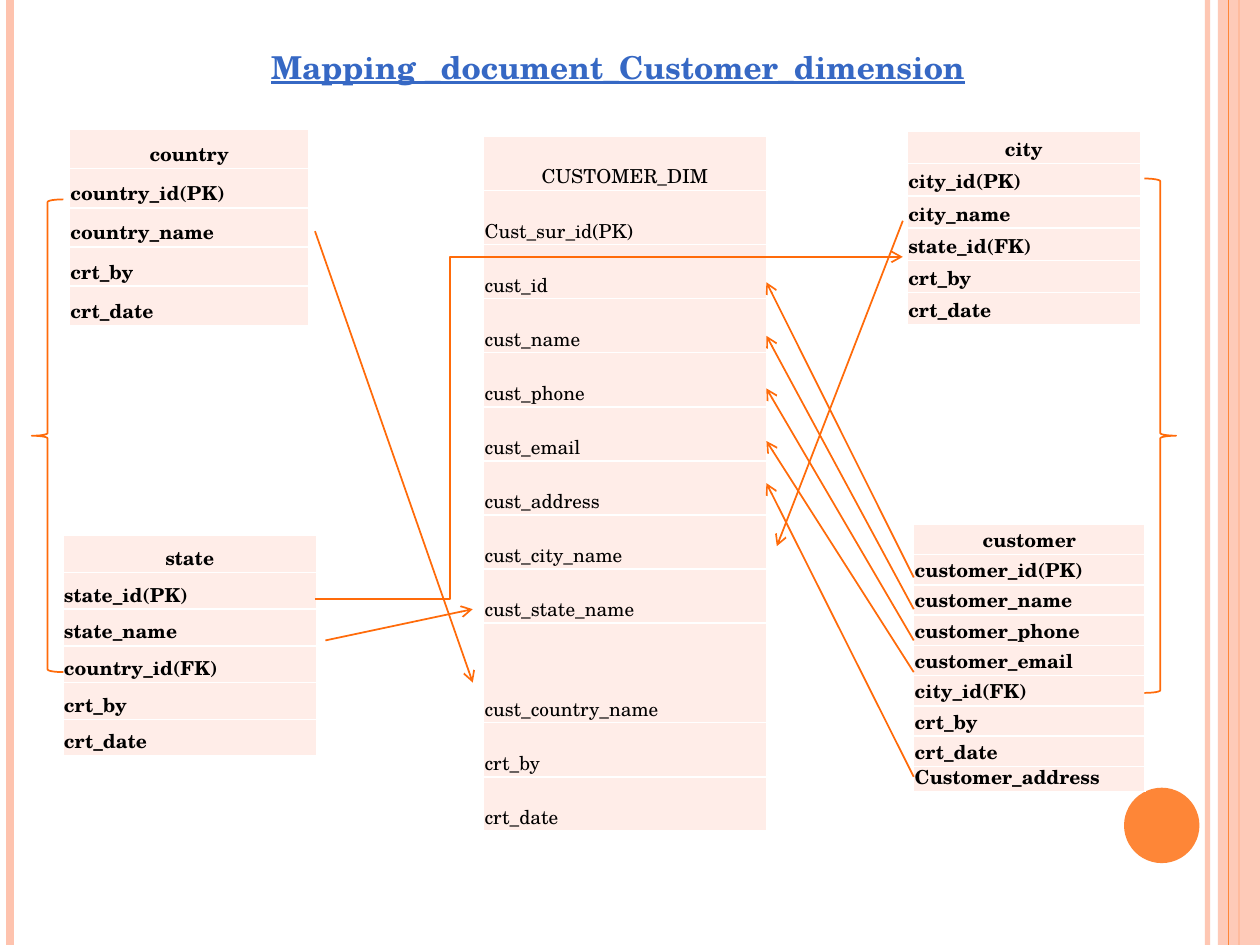
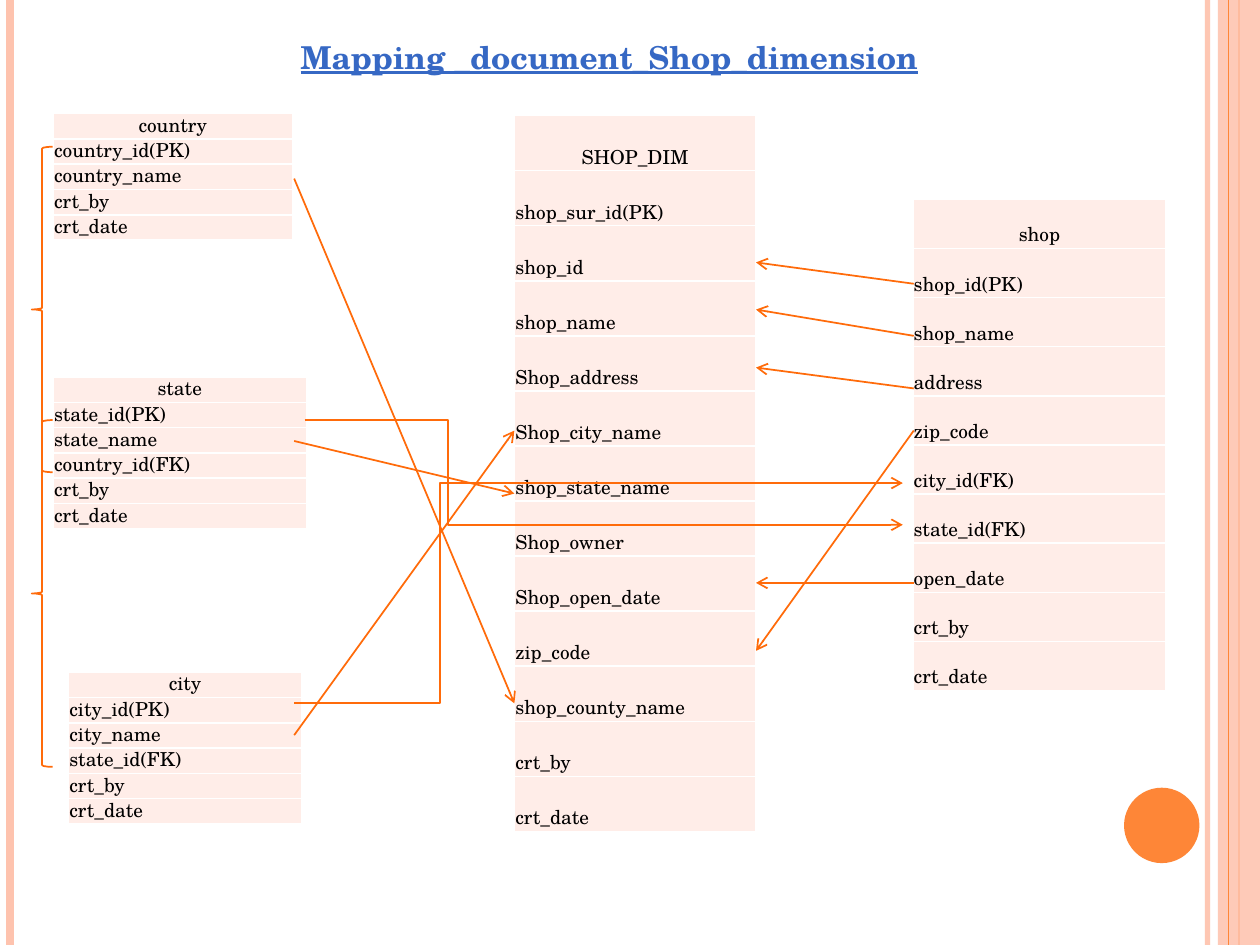
from dataclasses import dataclass

from lxml import etree
from pptx import Presentation
from pptx import util as u
from pptx.dml.color import RGBColor
from pptx.enum import shapes, text
from pptx.oxml.ns import qn


@dataclass(frozen=True)
class Theme:
    """Colours, font and type sizes (points) of the deck."""
    font: str = "TeX Gyre Schola"
    title_size: int = 18
    cell_size: int = 11
    cell_leading: int = 13
    title: RGBColor = RGBColor.from_string("3668C4")
    ink: RGBColor = RGBColor.from_string("000000")
    cell: RGBColor = RGBColor.from_string("FFEDE8")
    band: RGBColor = RGBColor.from_string("FEC3AE")
    accent: RGBColor = RGBColor.from_string("FE8637")
    link: RGBColor = RGBColor.from_string("FF6B0A")
    border: RGBColor = RGBColor.from_string("FFFFFF")


T = Theme()
WIDTH, HEIGHT = 25.4, 19.05


def add_line(s, ends, color=T.link, width=1, arrow=True, bend=None):
    """Draw a connector between two points; bend is the elbow's share of the run."""
    kind = shapes.MSO_CONNECTOR.ELBOW if bend else shapes.MSO_CONNECTOR.STRAIGHT
    line = s.shapes.add_connector(kind, *[u.Cm(v) for v in ends])
    line.line.color.rgb = color
    line.line.width = u.Pt(width)
    spPr = line.element.spPr
    if arrow:
        etree.SubElement(spPr.find(qn("a:ln")), qn("a:tailEnd"), type="arrow")
    if bend:
        guides = spPr.find(qn("a:prstGeom")).get_or_add_avLst()
        etree.SubElement(guides, qn("a:gd"), name="adj1", fmla=f"val {round(bend * 100000)}")
    etree.SubElement(spPr, qn("a:effectLst"))
    return line


def add_entity(s, left, top, width, row_height, names, bold, header=True):
    """Draw a one-column table of field names and return the table."""
    frame = s.shapes.add_table(len(names), 1, u.Cm(left), u.Cm(top), u.Cm(width),
                               u.Cm(row_height * len(names)))
    table = frame.table
    table.first_row = table.horz_banding = False
    for i, name in enumerate(names):
        table.rows[i].height = u.Cm(row_height)
        cell = table.cell(i, 0)
        cell.margin_left = cell.margin_right = cell.margin_top = u.Cm(0.02)
        cell.margin_bottom = 0
        cell.vertical_anchor = text.MSO_ANCHOR.BOTTOM
        cell.text_frame.text = name
        p = cell.text_frame.paragraphs[0]
        p.alignment = text.PP_ALIGN.CENTER if header and i == 0 else text.PP_ALIGN.LEFT
        # A fixed line height keeps the short rows from growing
        p.line_spacing = u.Pt(T.cell_leading)
        f = p.runs[0].font
        f.name, f.size, f.bold, f.color.rgb = T.font, u.Pt(T.cell_size), bold, T.ink
        tcPr = cell._tc.get_or_add_tcPr()
        for side in ("lnL", "lnR", "lnT", "lnB"):
            ln = etree.SubElement(tcPr, qn(f"a:{side}"), w=str(u.Pt(1)))
            fill = etree.SubElement(ln, qn("a:solidFill"))
            etree.SubElement(fill, qn("a:srgbClr"), val=str(T.border))
        cell.fill.solid()
        cell.fill.fore_color.rgb = T.cell
    return table


AUDIT = ["crt_by", "crt_date"]
COUNTRY = ["country", "country_id(PK)", "country_name"] + AUDIT
STATE = ["state", "state_id(PK)", "state_name", "country_id(FK)"] + AUDIT
CITY = ["city", "city_id(PK)", "city_name", "state_id(FK)"] + AUDIT
CUSTOMER = ["customer", "customer_id(PK)", "customer_name", "customer_phone",
            "customer_email", "city_id(FK)"] + AUDIT
CUSTOMER_DIM = ["CUSTOMER_DIM", "Cust_sur_id(PK)", "cust_id", "cust_name", "cust_phone",
                "cust_email", "cust_address", "cust_city_name", "cust_state_name",
                "cust_country_name"] + AUDIT
SHOP = ["shop", "shop_id(PK)", "shop_name", "address", "zip_code", "city_id(FK)",
        "state_id(FK)", "open_date"] + AUDIT
SHOP_DIM = ["SHOP_DIM", "shop_sur_id(PK)", "shop_id", "shop_name", "Shop_address",
            "Shop_city_name", "shop_state_name", "Shop_owner", "Shop_open_date",
            "zip_code", "shop_county_name"] + AUDIT

prs = Presentation()
prs.slide_width, prs.slide_height = u.Cm(WIDTH), u.Cm(HEIGHT)
layout = prs.slide_layouts[5]

# Slides with their titles
titles = [("Mapping _document_Customer_dimension", 1.45, 0.84, 22.02),
          ("Mapping _document_Shop_dimension", 1.07, 0.64, 22.43)]
for name, left, top, width in titles:
    s = prs.slides.add_slide(layout)
    sp = s.shapes.title
    sp.left, sp.top, sp.width, sp.height = [u.Cm(v) for v in (left, top, width, 1.02)]
    tf = sp.text_frame
    tf.text = name
    tf.word_wrap = True
    tf.auto_size = text.MSO_AUTO_SIZE.NONE
    tf.vertical_anchor = text.MSO_ANCHOR.MIDDLE
    p = tf.paragraphs[0]
    p.alignment = text.PP_ALIGN.CENTER
    f = p.runs[0].font
    f.name, f.size, f.color.rgb = T.font, u.Pt(T.title_size), T.title
    f.bold = f.underline = True
customer, shop = prs.slides

# Shared decoration: drawn once, then moved to the back of the layout
edge, left_edge, thick, thin = [
    add_line(customer, (x, 0, x, HEIGHT), color, width, arrow=False)
    for x, color, width in [(24.34, T.band, 3), (0.21, T.band, 4.5),
                            (24.98, T.accent, 1.5), (24.77, T.accent, 0.75)]]
band = customer.shapes.add_shape(shapes.MSO_SHAPE.RECTANGLE, u.Cm(24.55), 0,
                                 u.Cm(0.85), u.Cm(HEIGHT))
disc = customer.shapes.add_shape(shapes.MSO_SHAPE.OVAL, u.Cm(22.66), u.Cm(15.88),
                                 u.Cm(1.52), u.Cm(1.52))
for sp, color in ((band, T.band), (disc, T.accent)):
    sp.shadow.inherit = False
    sp.fill.solid()
    sp.fill.fore_color.rgb = color
    sp.line.fill.background()
for sp, opacity in ((edge, 93), (band, 87)):
    for tint in sp.element.spPr.iter(qn("a:srgbClr")):
        etree.SubElement(tint, qn("a:alpha"), val=str(opacity * 1000))
for i, sp in enumerate((edge, left_edge, thick, band, thin, disc)):
    layout.shapes.element.insert(2 + i, sp.element)

# Tables: left, top, width, row height, fields
dim = add_entity(customer, 9.75, 2.75, 5.7, 1.09, CUSTOMER_DIM, bold=False)
dim.rows[CUSTOMER_DIM.index("cust_country_name")].height = u.Cm(2.01)
for place in [(1.4, 2.61, 4.83, 0.79, COUNTRY), (1.27, 10.8, 5.11, 0.74, STATE),
              (18.29, 2.65, 4.7, 0.65, CITY), (18.42, 10.57, 4.66, 0.61, CUSTOMER)]:
    add_entity(customer, *place, bold=True)
add_entity(customer, 18.42, 15.45, 4.66, 0.51, ["Customer_address"], bold=True, header=False)

for place in [(10.37, 2.33, 4.87, 1.11, SHOP_DIM), (1.07, 2.29, 4.83, 0.51, COUNTRY),
              (1.07, 7.6, 5.11, 0.51, STATE), (1.38, 13.55, 4.7, 0.51, CITY),
              (18.4, 4.02, 5.11, 0.99, SHOP)]:
    add_entity(shop, *place, bold=False)

# Braces that join a key to its foreign key
LEFT, RIGHT = shapes.MSO_SHAPE.LEFT_BRACE, shapes.MSO_SHAPE.RIGHT_BRACE
for s, kind, *place in [(customer, LEFT, 0.64, 4.02, 0.64, 9.53),
                        (customer, RIGHT, 23.07, 3.6, 0.64, 10.37),
                        (shop, LEFT, 0.64, 2.96, 0.42, 6.56),
                        (shop, LEFT, 0.64, 8.47, 0.42, 6.99)]:
    sp = s.shapes.add_shape(kind, *[u.Cm(v) for v in place])
    sp.shadow.inherit = False
    sp.fill.background()
    sp.line.color.rgb = T.link
    sp.line.width = u.Pt(1)

# Arrows that share both columns: slide, from x, to x, (from y, to y)
fans = [
    (customer, 18.42, 15.45, [(11.64, 5.69), (12.28, 6.77), (12.91, 7.83),
                              (13.55, 8.89), (15.66, 9.74)]),
    (shop, 5.93, 10.37, [(3.6, 14.18), (8.89, 9.95), (14.82, 8.68)]),
    (shop, 18.42, 15.24, [(5.72, 5.29), (6.77, 6.24), (7.83, 7.41),
                          (8.68, 13.12), (11.75, 11.75)]),
]
for s, x1, x2, rows in fans:
    for y1, y2 in rows:
        add_line(s, (x1, y1, x2, y2))
for ends in [(18.2, 4.45, 15.66, 11.01), (6.56, 12.91, 9.53, 12.28),
             (6.35, 4.66, 9.53, 13.76)]:
    add_line(customer, ends)

# Elbow arrows from a key to its foreign key
add_line(customer, (6.35, 12.07, 18.2, 5.18), bend=0.23)
add_line(shop, (5.93, 14.18, 18.2, 9.74), bend=0.24)
add_line(shop, (6.14, 8.47, 18.2, 10.58), bend=0.24)

prs.save("out.pptx")
